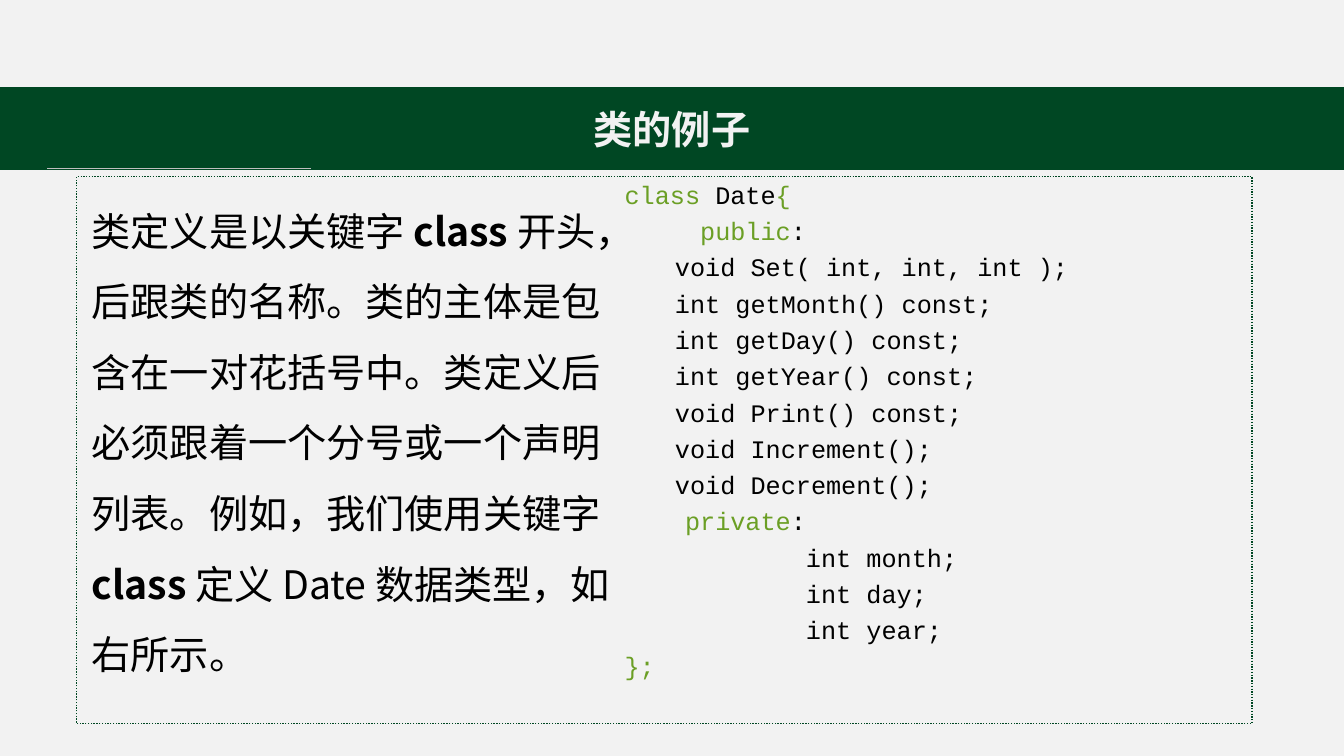
"""Builds a slide that explains a C++ class definition beside its code."""
import pptx
import pptx.dml.color
import pptx.enum.dml
import pptx.enum.shapes
import pptx.enum.text
import pptx.oxml.ns
import pptx.util
from lxml import etree

Cm = pptx.util.Cm
RGBColor = pptx.dml.color.RGBColor

GREEN = RGBColor(0x00, 0x47, 0x23)
KEYWORD_GREEN = RGBColor(0x6B, 0x9F, 0x25)
PALE_GREY = RGBColor(0xF2, 0xF2, 0xF2)
RULE_GREY = RGBColor(0xBF, 0xBF, 0xBF)
BLACK = RGBColor(0, 0, 0)
PROSE_FONT = "Noto Sans CJK SC"
CODE_FONT = "Courier New"

EXPLANATION = [
    "类定义是以关键字 ",
    "class",
    " 开头，后跟类的名称。类的主体是包含在一对花括号中。类定义后必须跟着一个分号或一个声明列表。例如，我们使用关键字 ",
    "class",
    " 定义 Date 数据类型，如右所示。",
]
KEYWORDS = {"class", "{", "public", "private", "};"}
CODE = [
    ["class", " Date", "{"],
    ["     ", "public", ":"],
    ["\tvoid Set( int, int, int );"],
    ["\tint getMonth() const;"],
    ["\tint getDay() const;"],
    ["\tint getYear() const;"],
    ["\tvoid Print() const;"],
    ["\tvoid Increment();"],
    ["\tvoid Decrement();"],
    ["    ", "private", ":"],
    ["            int month;"],
    ["            int day;"],
    ["            int year;"],
    ["};"],
]


def style(paragraph, name, size, color):
    """Set the font shared by all runs of a paragraph."""
    font = paragraph.font
    font.size = pptx.util.Pt(size)
    font.color.rgb = color
    font.name = name
    latin = font._element.find(pptx.oxml.ns.qn("a:latin"))
    east_asian = etree.Element(pptx.oxml.ns.qn("a:ea"), typeface=name)
    latin.addnext(east_asian)


def add_rectangle(slide, box, fill=None, line=None):
    """Add a flat rectangle with an optional fill and outline."""
    rectangle = slide.shapes.add_shape(pptx.enum.shapes.MSO_SHAPE.RECTANGLE, *box)
    rectangle.shadow.inherit = False
    if fill is None:
        rectangle.fill.background()
    else:
        rectangle.fill.solid()
        rectangle.fill.fore_color.rgb = fill
    if line is None:
        rectangle.line.fill.background()
    else:
        rectangle.line.color.rgb = line
        rectangle.line.width = pptx.util.Pt(1)
    return rectangle


def add_text_frame(slide, box):
    """Add a wrapping text box that grows with its text."""
    frame = slide.shapes.add_textbox(*box).text_frame
    frame.word_wrap = True
    frame.auto_size = pptx.enum.text.MSO_AUTO_SIZE.SHAPE_TO_FIT_TEXT
    return frame


def add_header(slide, left, top, width, height):
    """Add the strip above, the title band and the short rule under it."""
    add_rectangle(slide, (left, 0, width, top), PALE_GREY)
    band = add_rectangle(slide, (left, top, width, height), GREEN, GREEN)
    band.text_frame.vertical_anchor = pptx.enum.text.MSO_ANCHOR.MIDDLE
    title = band.text_frame.paragraphs[0]
    title.alignment = pptx.enum.text.PP_ALIGN.CENTER
    title.add_run().text = "类的例子"
    style(title, PROSE_FONT, 28, PALE_GREY)
    title.font.bold = True
    bottom = top + height - Cm(0.03)
    rule = slide.shapes.add_connector(
        pptx.enum.shapes.MSO_CONNECTOR.STRAIGHT,
        left + Cm(1.19), bottom, left + Cm(7.85), bottom)
    rule.line.color.rgb = RULE_GREY
    rule.line.width = pptx.util.Pt(0.5)
    etree.SubElement(rule._element.spPr, pptx.oxml.ns.qn("a:effectLst"))


def add_explanation(slide, left, top, width, height):
    """Add the prose with its keyword in bold."""
    frame = add_text_frame(slide, (left, top, width, height))
    frame.margin_left = frame.margin_right = 0
    frame.margin_top = frame.margin_bottom = 0
    prose = frame.paragraphs[0]
    prose.line_spacing = 1.5
    for part in EXPLANATION:
        run = prose.add_run()
        run.text = part
        run.font.bold = part == "class"
    style(prose, PROSE_FONT, 28, BLACK)


def add_code(slide, left, top, width, height):
    """Add the code listing with green keywords."""
    frame = add_text_frame(slide, (left, top, width, height))
    for index, parts in enumerate(CODE):
        code_line = frame.add_paragraph() if index else frame.paragraphs[0]
        code_line.line_spacing = 1.2
        for part in parts:
            run = code_line.add_run()
            run.text = part
            if part in KEYWORDS:
                run.font.color.rgb = KEYWORD_GREEN
        style(code_line, CODE_FONT, 18, BLACK)


def add_body(slide, left, top, width, height):
    """Add the dotted panel with the prose on the left and code on the right."""
    panel = add_rectangle(slide, (left, top, width, height), line=GREEN)
    panel.line.dash_style = pptx.enum.dml.MSO_LINE.ROUND_DOT
    add_explanation(slide, left + Cm(0.38), top + Cm(0.17), Cm(13.18), Cm(12.34))
    add_code(slide, left + Cm(13.56), top - Cm(0.21), Cm(22.73), Cm(13.11))


def main():
    """Build and save the presentation."""
    presentation = pptx.Presentation()
    presentation.slide_width = Cm(33.87)
    presentation.slide_height = Cm(19.05)
    slide = presentation.slides.add_slide(presentation.slide_layouts[6])
    slide.background.fill.solid()
    slide.background.fill.fore_color.rgb = PALE_GREY
    add_header(slide, 0, Cm(2.21), presentation.slide_width, Cm(2.06))
    add_body(slide, Cm(1.93), Cm(4.45), Cm(29.62), Cm(13.79))
    presentation.save("out.pptx")


if __name__ == "__main__":
    main()
